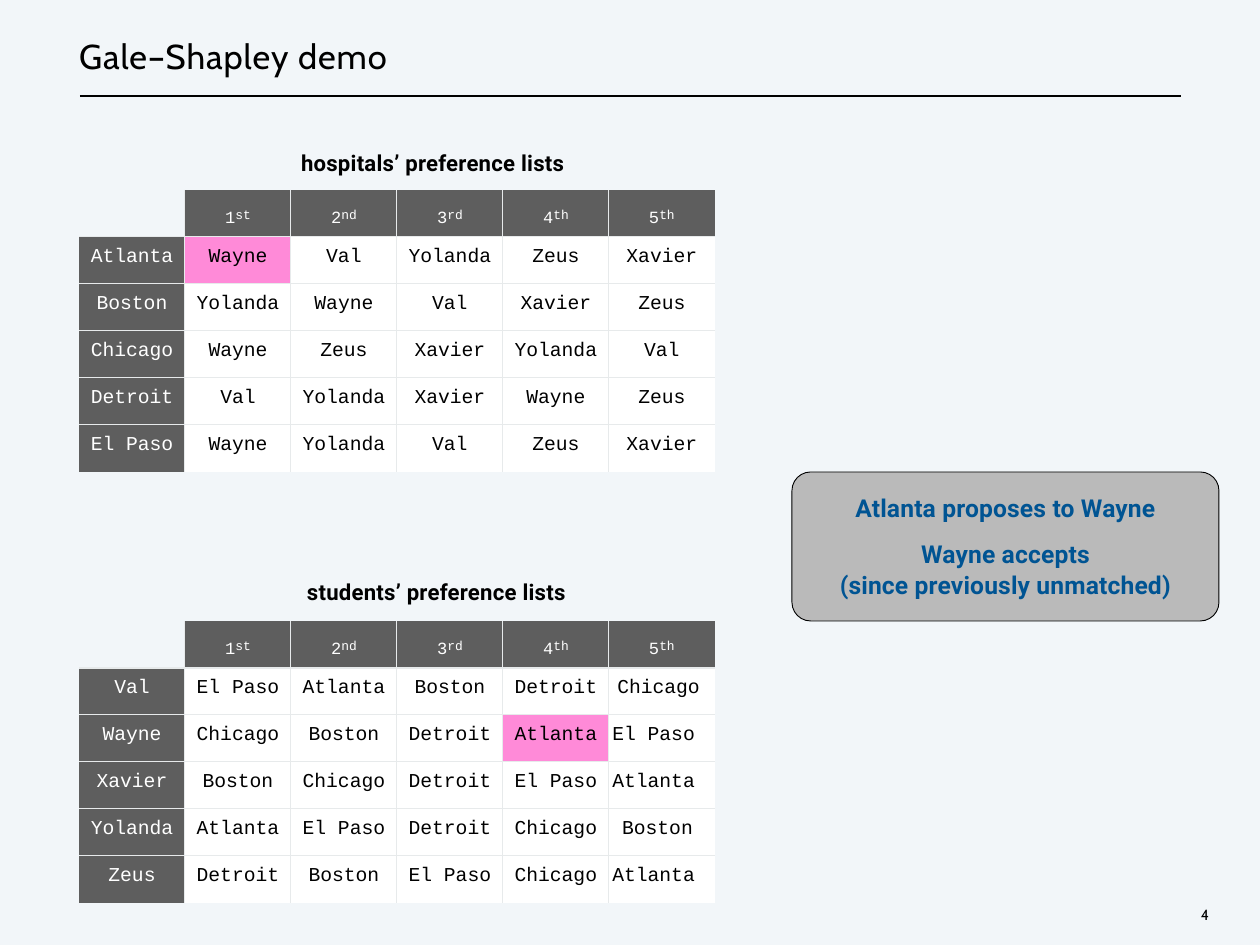
import lxml.etree
import pptx
import pptx.dml.color
import pptx.enum.shapes
import pptx.enum.text
import pptx.oxml.ns
import pptx.util

RGBColor = pptx.dml.color.RGBColor
ALIGN = pptx.enum.text.PP_ALIGN
qn = pptx.oxml.ns.qn

BLACK = RGBColor(0x00, 0x00, 0x00)
WHITE = RGBColor(0xFF, 0xFF, 0xFF)
BACKGROUND = RGBColor(0xF2, 0xF6, 0xF9)
HEADER = RGBColor(0x5E, 0x5E, 0x5E)
GRID = RGBColor(0xE7, 0xEA, 0xEB)
PINK = RGBColor(0xFF, 0x8A, 0xD8)
GREY = RGBColor(0xBA, 0xBA, 0xBA)
BLUE = RGBColor(0x00, 0x54, 0x93)

RANKS = [("1", "st"), ("2", "nd"), ("3", "rd"), ("4", "th"), ("5", "th")]
HOSPITALS = [
    ["Atlanta", "Wayne", "Val", "Yolanda", "Zeus", "Xavier"],
    ["Boston", "Yolanda", "Wayne", "Val", "Xavier", "Zeus"],
    ["Chicago", "Wayne", "Zeus", "Xavier", "Yolanda", "Val"],
    ["Detroit", "Val", "Yolanda", "Xavier", "Wayne", "Zeus"],
    ["El Paso", "Wayne", "Yolanda", "Val", "Zeus", "Xavier"],
]
STUDENTS = [
    ["Val", "El Paso", "Atlanta", "Boston", "Detroit", "Chicago"],
    ["Wayne", "Chicago", "Boston", "Detroit", "Atlanta", "El Paso"],
    ["Xavier", "Boston", "Chicago", "Detroit", "El Paso", "Atlanta"],
    ["Yolanda", "Atlanta", "El Paso", "Detroit", "Chicago", "Boston"],
    ["Zeus", "Detroit", "Boston", "El Paso", "Chicago", "Atlanta"],
]


def px(count):
    return pptx.util.Emu(count * 10321)


def write(para, text, font="Courier New", size=16, color=BLACK, bold=False,
          spacing=0, baseline=0, align=None, before=0):
    """Append a run to para; spacing in points, baseline in percent."""
    span = para.add_run()
    span.text = text
    span.font.name = font
    span.font.size = pptx.util.Pt(size)
    span.font.bold = bold
    span.font.color.rgb = color
    properties = span._r.get_or_add_rPr()
    if spacing:
        properties.set("spc", str(round(spacing * 100)))
    if baseline:
        properties.set("baseline", str(baseline * 1000))
    para.alignment = align
    para.space_before = pptx.util.Pt(before)


def set_borders(cell, inner_sides):
    """Draw grid lines on the inner sides and none on the others."""
    properties = cell._tc.get_or_add_tcPr()
    for side in "LRTB":
        line = lxml.etree.SubElement(properties, qn("a:ln" + side), w="12700")
        if side in inner_sides:
            fill = lxml.etree.SubElement(line, qn("a:solidFill"))
            lxml.etree.SubElement(fill, qn("a:srgbClr"), val=str(GRID))
        else:
            lxml.etree.SubElement(line, qn("a:noFill"))


class Page:
    def __init__(self, deck):
        self.slide = deck.slides.add_slide(deck.slide_layouts[5])
        self.shapes = self.slide.shapes
        fill = self.slide.background.fill
        fill.solid()
        fill.fore_color.rgb = BACKGROUND

    def prepare(self, frame, top=1, wrap=True):
        frame.margin_left = frame.margin_right = frame.margin_bottom = 0
        frame.margin_top = px(top)
        frame.word_wrap = wrap
        frame.auto_size = pptx.enum.text.MSO_AUTO_SIZE.NONE
        frame.vertical_anchor = pptx.enum.text.MSO_ANCHOR.TOP
        return frame.paragraphs[0]

    def title(self, text, left, top, width, height):
        box = self.shapes.title
        box.left, box.top = px(left), px(top)
        box.width, box.height = px(width), px(height)
        para = self.prepare(box.text_frame, wrap=False)
        write(para, text, font="Cabin", size=28, spacing=0.8,
              align=ALIGN.LEFT, before=1)

    def rule(self, left, top, right):
        line = self.shapes.add_connector(
            pptx.enum.shapes.MSO_CONNECTOR.STRAIGHT,
            px(left), px(top), px(right), px(top))
        line.line.color.rgb = BLACK
        line.line.width = pptx.util.Pt(1)
        lxml.etree.SubElement(line._element.spPr, qn("a:effectLst"))

    def label(self, text, left, top, width, height, **style):
        box = self.shapes.add_textbox(px(left), px(top), px(width), px(height))
        write(self.prepare(box.text_frame), text, **style)

    def callout(self, lines, left, top, width, height):
        """Rounded box; lines are pairs of text and space before."""
        box = self.shapes.add_shape(
            pptx.enum.shapes.MSO_SHAPE.ROUNDED_RECTANGLE,
            px(left), px(top), px(width), px(height))
        box.adjustments[0] = 0.125
        box.shadow.inherit = False
        box.fill.solid()
        box.fill.fore_color.rgb = GREY
        box.line.color.rgb = BLACK
        box.line.width = pptx.util.Pt(0.75)
        para = self.prepare(box.text_frame, top=15)
        for index, (text, before) in enumerate(lines):
            if index:
                para = box.text_frame.add_paragraph()
            write(para, text, font="Roboto", size=20, color=BLUE, bold=True,
                  spacing=0.1, align=ALIGN.CENTER, before=before)

    def preferences(self, rows, top, highlight, last_margins=None):
        """Table of ranked names; last_margins right-align the last column."""
        row_count, column_count = len(rows) + 1, len(RANKS) + 1
        table = self.shapes.add_table(
            row_count, column_count, px(79), px(top),
            px(106 * column_count), px(47 * row_count)).table
        table.first_row = table.horz_banding = False
        for row in range(row_count):
            for column in range(column_count):
                cell = table.cell(row, column)
                cell.margin_left = cell.margin_right = cell.margin_bottom = 0
                cell.margin_top = px(9 if row else 5)
                inner = {"L": column > 0, "R": column < column_count - 1,
                         "T": row > 0, "B": row < row_count - 1}
                set_borders(cell, [side for side in inner if inner[side]])
                fill, color = WHITE, BLACK
                if row == column == 0:
                    fill = BACKGROUND
                elif row == 0 or column == 0:
                    fill, color = HEADER, WHITE
                elif (row, column) == highlight:
                    fill = PINK
                cell.fill.solid()
                cell.fill.fore_color.rgb = fill

                para = cell.text_frame.paragraphs[0]
                if row:
                    align = ALIGN.CENTER
                    if last_margins and column == column_count - 1:
                        align = ALIGN.RIGHT
                        cell.margin_right = px(last_margins[row - 1])
                    write(para, rows[row - 1][column], color=color,
                          align=align, before=7)
                elif column:
                    digit, suffix = RANKS[column - 1]
                    style = dict(color=color, align=ALIGN.CENTER, before=4.1)
                    write(para, digit, size=24, baseline=-14, **style)
                    write(para, suffix, size=10.5, **style)


def main():
    deck = pptx.Presentation()
    deck.slide_width, deck.slide_height = px(1260), px(945)
    page = Page(deck)
    page.title("Gale–Shapley demo", 79, 34, 326, 43)
    page.rule(80, 96, 1181)
    page.preferences(HOSPITALS, 190, highlight=(1, 1))
    page.preferences(STUDENTS, 621, highlight=(2, 4),
                     last_margins=[15, 20, 20, 22, 20])
    page.callout([("Atlanta proposes to Wayne", 0), ("Wayne accepts", 13.8),
                  ("(since previously unmatched)", 1)], 792, 472, 427, 149)
    heading = dict(font="Roboto", size=18, bold=True, spacing=0.2, before=1)
    page.label("hospitals’ preference lists", 301, 148, 298, 29, **heading)
    page.label("students’ preference lists", 307, 577, 293, 29, **heading)
    page.label("4", 1201, 905, 22, 20, font="Cabin", size=12)
    deck.save("out.pptx")


if __name__ == "__main__":
    main()
